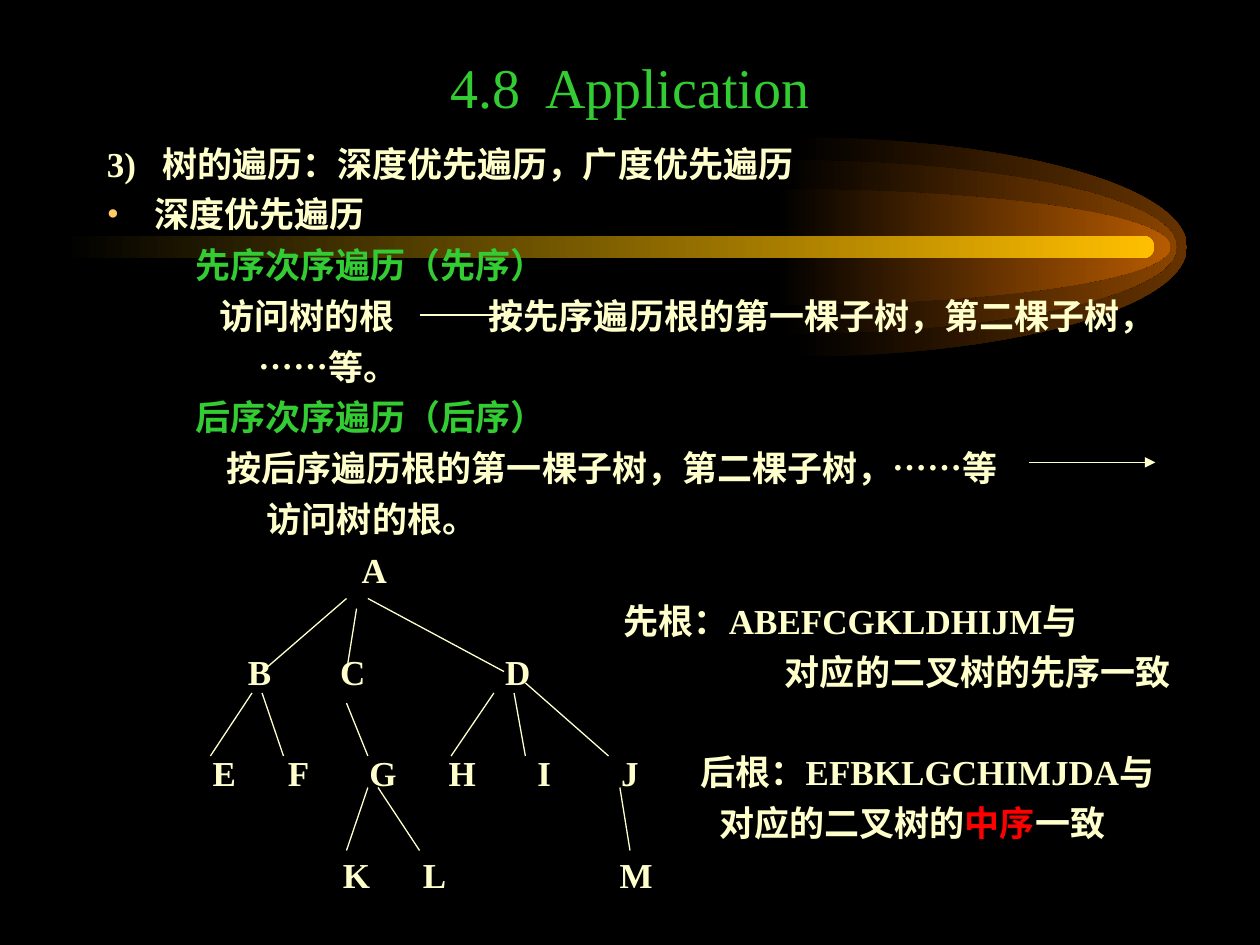
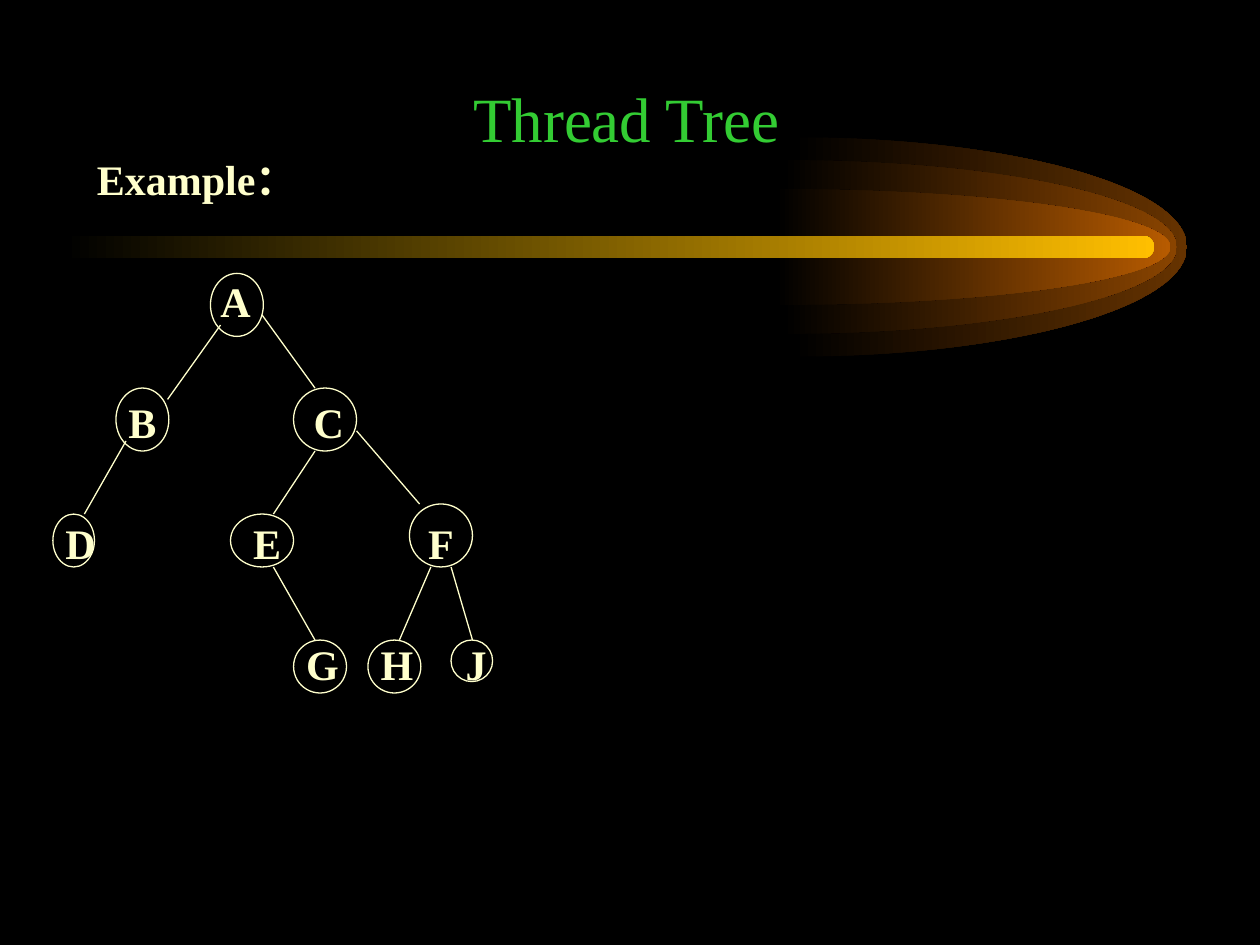
from lxml import etree
from pptx import Presentation
from pptx.dml import color
from pptx.enum import shapes, text
from pptx.oxml import ns
from pptx.util import Inches, Pt

# Shared look
FONT = "Times New Roman"
BLACK, CREAM, GREEN, RED, AMBER = "000000", "FFFFCC", "33CC33", "FF0000", "FFCC66"
LINE_WIDTH = Pt(0.75)
FLAME_Y, FLAME_LENGTH = 1.96, 3.13
CURVE = 0.5523  # control point distance for a quarter ellipse
FLAMES = [  # left, half height, colour at the tip
    (6.29, 0.87, "663300"),
    (6.21, 0.69, "894400"),
    (6.16, 0.46, "B75B00"),
]

# Depth-first slide: indent, first-line offset, bullet, runs
OUTLINE = [
    (0.44, -0.44, None, [("3)\t树的遍历：深度优先遍历，广度优先遍历", CREAM)]),
    (0.38, -0.38, "•", [("深度优先遍历", CREAM)]),
    (0.7, 0, None, [("先序次序遍历（先序）", GREEN)]),
    (0.89, 0, None, [("访问树的根", CREAM)]),
    (1.2, 0, None, [("……等。", CREAM)]),
    (0.7, 0, None, [("后序次序遍历（后序）", GREEN)]),
    (0.95, 0, None, [("按后序遍历根的第一棵子树，第二棵子树，……等", CREAM)]),
    (1.27, 0, None, [("访问树的根。", CREAM)]),
]
PREORDER_STEP = [
    (0, 0, None, [("按先序遍历根的第一棵子树，第二棵子树，", CREAM)]),
]
PREORDER = [
    (0, 0, None, [("先根：ABEFCGKLDHIJM与", CREAM)]),
    (1.28, 0, None, [("对应的二叉树的先序一致", CREAM)]),
]
POSTORDER = [
    (0, 0, None, [("后根：EFBKLGCHIMJDA与", CREAM)]),
    (0.15, 0, None,
     [("对应的二叉树的", CREAM), ("中序", RED), ("一致", CREAM)]),
]
STEP_ARROWS = [(3.33, 2.5, 4.08, 2.5), (8.17, 3.67, 9.17, 3.67)]
TREE_LEVELS = [  # centre height, then the centre of each letter
    (4.52, {"A": 2.97}),
    (5.33, {"B": 2.06, "C": 2.8, "D": 4.11}),
    (6.13, {"E": 1.78, "F": 2.37, "G": 3.04, "H": 3.67, "I": 4.32, "J": 5}),
    (6.94, {"K": 2.83, "L": 3.45, "M": 5.05}),
]
TREE_EDGES = [
    (2.75, 4.75, 2.08, 5.33), (2.83, 4.83, 2.75, 5.33), (2.92, 4.75, 4, 5.33),
    (2, 5.5, 1.67, 6), (2.08, 5.5, 2.25, 6), (2.75, 5.58, 2.92, 6),
    (3.92, 5.5, 3.58, 6), (4.08, 5.5, 4.17, 6), (4.17, 5.42, 4.83, 6),
    (2.92, 6.25, 2.75, 6.75), (3, 6.25, 3.33, 6.75), (4.92, 6.25, 5, 6.75),
]

# Thread tree slide: left, top, width, height, row, letter centre
THREAD_NODES = {
    "A": (1.67, 2.17, 0.42, 0.5, 0, 1.87),
    "B": (0.92, 3.08, 0.42, 0.5, 1, 1.13),
    "C": (2.33, 3.08, 0.5, 0.5, 1, 2.61),
    "D": (0.42, 4.08, 0.33, 0.42, 2, 0.64),
    "E": (1.83, 4.08, 0.5, 0.42, 2, 2.12),
    "F": (3.25, 4, 0.5, 0.5, 2, 3.5),
    "G": (2.33, 5.08, 0.42, 0.42, 3, 2.56),
    "H": (2.92, 5.08, 0.42, 0.42, 3, 3.15),
    "J": (3.58, 5.08, 0.33, 0.33, 3, 3.78),
}
ROW_TOP, ROW_STEP = 2.39, 0.96
THREAD_EDGES = [
    (1.75, 2.58, 1.33, 3.17), (1, 3.5, 0.67, 4.08), (2.08, 2.5, 2.5, 3.08),
    (2.5, 3.58, 2.17, 4.08), (2.17, 4.5, 2.5, 5.08), (2.83, 3.42, 3.33, 4),
    (3.42, 4.5, 3.17, 5.08), (3.58, 4.5, 3.75, 5.08),
]


def rgb(value):
    return color.RGBColor.from_string(value)


def add_xml(parent, tag, **attributes):
    return etree.SubElement(parent, ns.qn(tag), attributes)


def style_run(r, size, colour, bold):
    r.font.name, r.font.size, r.font.bold = FONT, Pt(size), bold
    r.font.color.rgb = rgb(colour)


def fade_fill(sp, tip):
    """Fade from black on the left to the tip colour on the right."""
    sp.shadow.inherit = False
    sp.line.fill.background()
    sp.fill.gradient()
    sp.fill.gradient_angle = 0
    for stop, position, colour in zip(sp.fill.gradient_stops, (0, 1), (BLACK, tip)):
        stop.position = position
        stop.color.rgb = rgb(colour)


def add_flame(s, left, half_height, tip):
    """Half an ellipse, made of two curves."""
    corners = [(0, -1), (CURVE, -1), (1, -CURVE), (1, 0),
               (1, CURVE), (CURVE, 1), (0, 1)]
    points = [(Inches(left + FLAME_LENGTH * x), Inches(FLAME_Y + half_height * y))
              for x, y in corners]
    builder = s.shapes.build_freeform(*points[0])
    builder.add_line_segments(points[1:], close=True)
    sp = builder.convert_to_shape()
    segments = list(sp._element.iter(ns.qn("a:lnTo")))
    for i in (0, 3):
        curve = etree.Element(ns.qn("a:cubicBezTo"))
        segments[i].addprevious(curve)
        for segment in segments[i:i + 3]:
            curve.append(segment[0])
            segment.getparent().remove(segment)
    fade_fill(sp, tip)


def add_comet(s):
    for flame in FLAMES:
        add_flame(s, *flame)
    bar = s.shapes.add_shape(shapes.MSO_SHAPE.ROUNDED_RECTANGLE, Inches(0.5),
                             Inches(1.87), Inches(8.66), Inches(0.18))
    bar.adjustments[0] = 0.5
    fade_fill(bar, "FFBF00")


def clear_insets(tf):
    tf.margin_left = tf.margin_right = tf.margin_top = tf.margin_bottom = 0


def add_box(s, left, top, width, height, inset=True):
    tf = s.shapes.add_textbox(Inches(left), Inches(top),
                              Inches(width), Inches(height)).text_frame
    tf.word_wrap = True
    if not inset:
        clear_insets(tf)
    return tf


def set_text(tf, words, size, colour=CREAM, bold=True, centred=False):
    tf.text = words
    p = tf.paragraphs[0]
    if centred:
        p.alignment = text.PP_ALIGN.CENTER
    style_run(p.runs[0], size, colour, bold)


def add_title(s, words, size, left, top, height):
    tf = add_box(s, left, top, 8.5, height)
    tf.vertical_anchor = text.MSO_ANCHOR.BOTTOM
    set_text(tf, words, size, GREEN, bold=False, centred=True)


def fill_outline(tf, lines):
    for i, (indent, first, bullet, runs) in enumerate(lines):
        p = tf.add_paragraph() if i else tf.paragraphs[0]
        pPr = p._p.get_or_add_pPr()
        pPr.set("marL", str(Inches(indent)))
        pPr.set("indent", str(Inches(first)))
        if bullet:
            add_xml(add_xml(pPr, "a:buClr"), "a:srgbClr", val=AMBER)
            add_xml(pPr, "a:buFont", typeface=FONT)
            add_xml(pPr, "a:buChar", char=bullet)
        p.space_before = Pt(5 if i else 0)
        for words, colour in runs:
            r = p.add_run()
            r.text = words
            style_run(r, 20, colour, True)


def add_line(s, x1, y1, x2, y2, arrow=False):
    c = s.shapes.add_connector(shapes.MSO_CONNECTOR.STRAIGHT, Inches(x1),
                               Inches(y1), Inches(x2), Inches(y2))
    c.line.color.rgb = rgb(CREAM)
    c.line.width = LINE_WIDTH
    spPr = c._element.spPr
    if arrow:
        add_xml(spPr.find(ns.qn("a:ln")), "a:tailEnd", type="triangle")
    add_xml(spPr, "a:effectLst")


def add_letter(s, letter, x, y, size=0.4):
    tf = add_box(s, x - size / 2, y - size / 2, size, size, inset=False)
    tf.vertical_anchor = text.MSO_ANCHOR.MIDDLE
    set_text(tf, letter, 20, centred=True)


def add_node(s, letter, left, top, width, height, row, letter_x):
    sp = s.shapes.add_shape(shapes.MSO_SHAPE.OVAL, Inches(left), Inches(top),
                            Inches(width), Inches(height))
    sp.shadow.inherit = False
    sp.fill.background()
    sp.line.color.rgb = rgb(CREAM)
    sp.line.width = LINE_WIDTH
    tf = sp.text_frame
    tf.word_wrap = False
    tf.vertical_anchor = text.MSO_ANCHOR.MIDDLE
    # Insets move the letter off centre so that each row shares a baseline
    shift_x = 2 * (letter_x - left - width / 2)
    shift_y = 2 * (ROW_TOP + row * ROW_STEP - top - height / 2)
    tf.margin_left, tf.margin_right = Inches(max(shift_x, 0)), Inches(max(-shift_x, 0))
    tf.margin_top, tf.margin_bottom = Inches(max(shift_y, 0)), Inches(max(-shift_y, 0))
    set_text(tf, letter, 24, centred=True)


def add_slide(prs):
    s = prs.slides.add_slide(prs.slide_layouts[6])
    add_comet(s)
    return s


def build_traversal(prs):
    s = add_slide(prs)
    add_title(s, "4.8  Application", 32, 0.75, 0.42, 0.58)
    fill_outline(add_box(s, 0.75, 1.08, 8.83, 3.3), OUTLINE)
    fill_outline(add_box(s, 3.88, 2.34, 5.6, 0.35, inset=False), PREORDER_STEP)
    for arrow in STEP_ARROWS:
        add_line(s, *arrow, arrow=True)
    # Tree
    for y, letters in TREE_LEVELS:
        for letter, x in letters.items():
            add_letter(s, letter, x, y)
    for edge in TREE_EDGES:
        add_line(s, *edge)
    # Visiting orders
    fill_outline(add_box(s, 4.95, 4.76, 4.5, 0.75, inset=False), PREORDER)
    fill_outline(add_box(s, 5.56, 5.96, 3.9, 0.75, inset=False), POSTORDER)


def build_thread_tree(prs):
    s = add_slide(prs)
    set_text(add_box(s, 0.67, 1.17, 3, 0.5), "Example：", 24)
    for letter, place in THREAD_NODES.items():
        add_node(s, letter, *place)
    for edge in THREAD_EDGES:
        add_line(s, *edge)
    add_title(s, "Thread Tree", 36, 0.72, 0.58, 0.7)


def main():
    prs = Presentation()
    prs.slide_width, prs.slide_height = Inches(10), Inches(7.5)
    backdrop = prs.slide_master.background.fill
    backdrop.solid()
    backdrop.fore_color.rgb = rgb(BLACK)
    build_traversal(prs)
    build_thread_tree(prs)
    prs.save("out.pptx")


if __name__ == "__main__":
    main()
